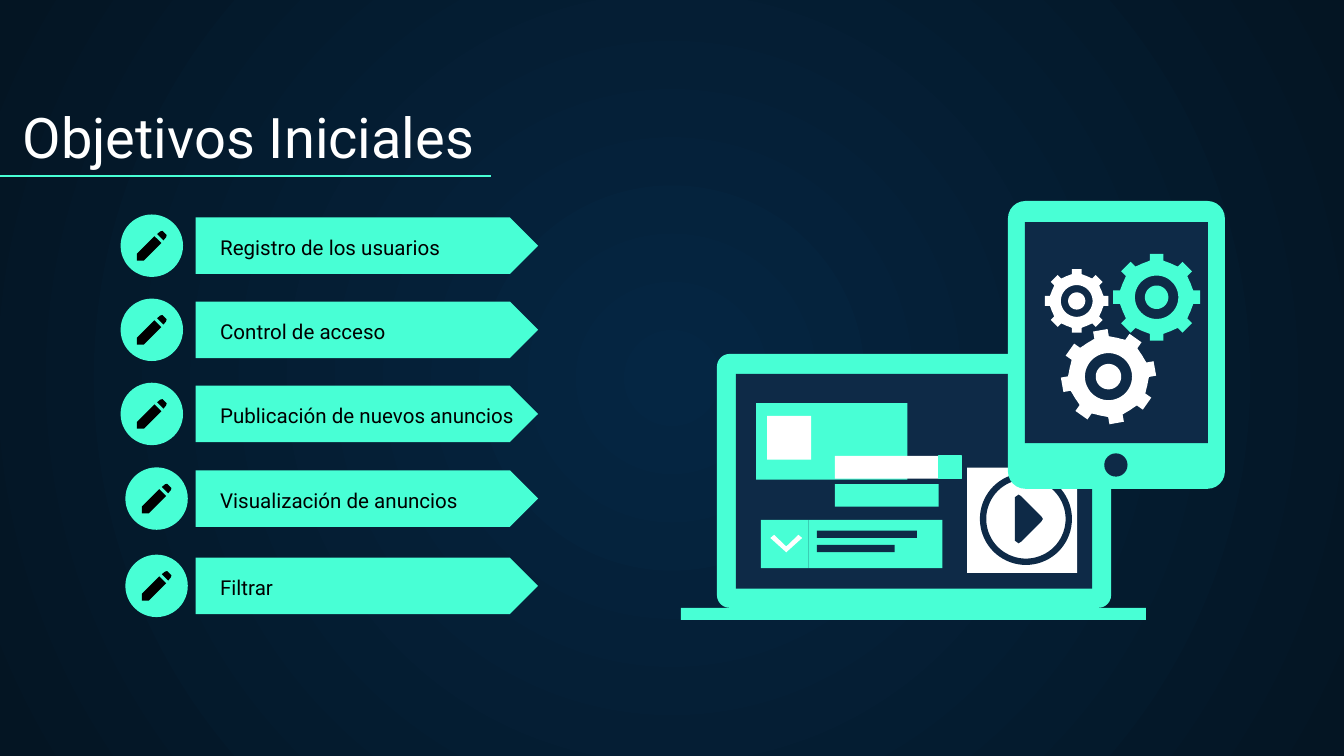
"""Build the initial objectives slide: a list of labelled arrows beside a device illustration."""
from dataclasses import dataclass
from math import cos, pi, radians, sin
from typing import NamedTuple

from lxml.etree import SubElement
from pptx import Presentation
from pptx.dml.color import RGBColor as RGB
from pptx.enum.shapes import MSO_CONNECTOR as CONN, MSO_SHAPE as SHP
from pptx.enum.text import MSO_ANCHOR as ANC, MSO_AUTO_SIZE as FIT, PP_ALIGN as ALIGN
from pptx.oxml.ns import qn
from pptx.util import Cm, Pt

Points = list[tuple[float, float]]


@dataclass(frozen=True)
class Theme:
    mint: RGB = RGB(0x48, 0xFF, 0xD5)
    navy: RGB = RGB(0x0E, 0x2A, 0x47)
    white: RGB = RGB(0xFF, 0xFF, 0xFF)
    black: RGB = RGB(0, 0, 0)
    glow: RGB = RGB(0x05, 0x26, 0x43)
    edge: RGB = RGB(0x04, 0x15, 0x23)
    font: str = "Roboto"
    title: float = 30
    item: float = 11
    line: float = 0.75


T = Theme()


class Box(NamedTuple):
    x: float
    y: float
    w: float
    h: float
    color: RGB
    kind: SHP = SHP.RECTANGLE
    adj: float | None = None
    edged: bool = False


class Gear(NamedTuple):
    x: float
    y: float
    radius: float
    color: RGB
    turn: float = 0


class Item(NamedTuple):
    text: str
    y: float
    badge_x: float


ARROW_X, ARROW_W, ARROW_H, BADGE = 3.7, 6.47, 1.07, 1.18
ITEMS = [
    Item("Registro de los usuarios", 4.11, 2.28),
    Item("Control de acceso", 5.7, 2.28),
    Item("Publicación de nuevos anuncios", 7.29, 2.28),
    Item("Visualización de anuncios", 8.89, 2.37),
    Item("Filtrar", 10.54, 2.37),
]
PENCIL_TIP = [(0.16, -0.27), (0.1, -0.22), (0.22, -0.1), (0.27, -0.16), (0.28, -0.2), (0.2, -0.28)]
PENCIL_BODY = [(0.05, -0.18), (-0.28, 0.15), (-0.28, 0.28), (-0.15, 0.28), (0.18, -0.05)]
LAPTOP = [
    Box(13.55, 6.69, 7.45, 4.8, T.mint, SHP.ROUNDED_RECTANGLE, 0.05),
    Box(13.91, 7.07, 6.73, 4.06, T.navy),
    Box(12.87, 11.49, 8.79, 0.23, T.mint),
    Box(14.29, 7.62, 2.86, 1.45, T.mint),
    Box(14.5, 7.86, 0.83, 0.83, T.white),
    Box(15.28, 9.83, 2.53, 0.91, T.mint),
    Box(15.44, 10.03, 1.89, 0.14, T.navy),
    Box(15.44, 10.3, 1.47, 0.14, T.navy),
    Box(14.38, 9.83, 0.9, 0.91, T.mint),
    Box(15.78, 9.15, 1.96, 0.43, T.mint),
    Box(15.78, 8.62, 1.96, 0.43, T.white),
    Box(17.74, 8.62, 0.43, 0.43, T.mint, edged=True),
    Box(18.28, 8.84, 2.08, 1.99, T.white),
]
TABLET = [
    Box(19.05, 3.8, 4.1, 5.44, T.mint, SHP.ROUNDED_RECTANGLE, 0.08),
    Box(19.37, 4.2, 3.46, 4.18, T.navy),
    Box(20.87, 8.57, 0.44, 0.44, T.navy, SHP.OVAL),
]
CHEVRON = [(14.56, 10.17), (14.63, 10.11), (14.86, 10.33), (15.09, 10.11), (15.16, 10.17), (14.86, 10.44)]
PLAY = [(19.18, 9.4), (19.25, 9.35), (19.3, 9.38), (19.68, 9.76), (19.71, 9.81),
        (19.68, 9.86), (19.3, 10.24), (19.25, 10.27), (19.18, 10.22)]
PLAY_CENTER = (19.39, 9.81)
GEARS = [
    Gear(21.86, 5.62, 0.82, T.mint),
    Gear(20.35, 5.69, 0.6, T.white),
    Gear(20.95, 7.12, 0.89, T.white, -10),
]


def apply(obj, **fmt) -> None:
    """Set each named format value on the object."""
    for key, value in fmt.items():
        setattr(obj, key, value)


def paint(sp, color: RGB, edged: bool = False) -> None:
    """Give a shape a flat fill, with an edge of the same colour if asked."""
    sp.shadow.inherit = False
    sp.fill.solid()
    sp.fill.fore_color.rgb = color
    if edged:
        sp.line.color.rgb = color
        sp.line.width = Pt(T.line)
    else:
        sp.line.fill.background()


def draw_box(s, b: Box) -> None:
    """Draw one preset shape."""
    sp = s.shapes.add_shape(b.kind, Cm(b.x), Cm(b.y), Cm(b.w), Cm(b.h))
    if b.adj is not None:
        sp.adjustments[0] = b.adj
    paint(sp, b.color, b.edged)


def draw_outline(s, color: RGB, *contours: Points) -> None:
    """Draw closed contours as one freeform, inner ones being holes."""
    scaled = [[(Cm(x), Cm(y)) for x, y in c] for c in contours]
    builder = s.shapes.build_freeform(*scaled[0][0])
    for i, (start, *rest) in enumerate(scaled):
        if i:
            builder.move_to(*start)
        builder.add_line_segments(rest, close=True)
    paint(builder.convert_to_shape(), color)


def circle(x: float, y: float, radius: float, steps: int = 72) -> Points:
    """Return points around a circle."""
    angles = [2 * pi * i / steps for i in range(steps)]
    return [(x + radius * cos(a), y + radius * sin(a)) for a in angles]


def draw_gear(s, g: Gear, teeth: int = 8) -> None:
    """Draw a toothed wheel with a ring cut out around its hub."""
    body, half = 0.845 * g.radius, 0.156 * g.radius
    rim: Points = []
    for i in range(teeth):
        a = radians(g.turn) + 2 * pi * i / teeth
        tooth = [(body, -half), (g.radius, -half), (g.radius, half), (body, half)]
        tooth += [(body * cos(pi * f / teeth), body * sin(pi * f / teeth)) for f in (0.75, 1, 1.25)]
        rim += [(g.x + u * cos(a) - v * sin(a), g.y + u * sin(a) + v * cos(a)) for u, v in tooth]
    draw_outline(s, g.color, rim, circle(g.x, g.y, 0.5 * g.radius), circle(g.x, g.y, 0.27 * g.radius))


def draw_item(s, item: Item) -> None:
    """Draw the arrow and the pencil badge of one objective."""
    cx, cy = item.badge_x + BADGE / 2, item.y + ARROW_H / 2
    draw_box(s, Box(ARROW_X, item.y, ARROW_W, ARROW_H, T.mint, SHP.PENTAGON, 0.5))
    draw_box(s, Box(item.badge_x, cy - BADGE / 2, BADGE, BADGE, T.mint, SHP.OVAL))
    draw_outline(s, T.black, *([(cx + x, cy + y) for x, y in part] for part in (PENCIL_TIP, PENCIL_BODY)))


def place(sp, x: float, y: float, w: float, h: float, inset: float, anchor: ANC) -> None:
    """Move a placeholder and set its frame."""
    apply(sp, left=Cm(x), top=Cm(y), width=Cm(w), height=Cm(h))
    margins = {f"margin_{side}": Cm(inset) for side in ("left", "right", "top", "bottom")}
    apply(sp.text_frame, word_wrap=True, auto_size=FIT.NONE, vertical_anchor=anchor, **margins)


def write(p, text: str, size: float, color: RGB) -> None:
    """Write one left-aligned paragraph."""
    p.alignment = ALIGN.LEFT
    r = p.add_run()
    r.text = text
    apply(r.font, name=T.font, size=Pt(size), bold=False)
    r.font.color.rgb = color


def write_list(body) -> None:
    """Write the objectives, spaced to match their arrows."""
    leading = 13
    place(body, 4.16, ITEMS[0].y + 0.34, 6, 7, 0, ANC.TOP)
    tf = body.text_frame
    for i, item in enumerate(ITEMS):
        p = tf.add_paragraph() if i else tf.paragraphs[0]
        gap = Cm(item.y - ITEMS[i - 1].y).pt - leading if i else 0
        pPr = p._p.get_or_add_pPr()
        apply(p, line_spacing=Pt(leading), space_before=Pt(gap), space_after=Pt(0))
        pPr.set("marL", "0")
        pPr.set("indent", "0")
        SubElement(pPr, qn("a:buNone"))
        write(p, item.text, T.item, T.black)


def set_background(s) -> None:
    """Fill the background with a glow from the centre."""
    fill = s.background.fill
    fill.gradient()
    for stop, color in zip(fill.gradient_stops, (T.glow, T.edge)):
        stop.color.rgb = color
    grad = s.element.find(".//" + qn("a:gradFill"))
    grad.remove(grad.find(qn("a:lin")))
    glow = SubElement(grad, qn("a:path"), {"path": "circle"})
    SubElement(glow, qn("a:fillToRect"), dict.fromkeys("ltrb", "50000"))


def main() -> None:
    """Build and save the slide."""
    prs = Presentation()
    apply(prs, slide_width=Cm(25.4), slide_height=Cm(14.29))
    s = prs.slides.add_slide(prs.slide_layouts[1])
    set_background(s)
    title, body = s.shapes.title, s.placeholders[1]
    place(title, 0.18, 1.78, 21.77, 1.68, 0.25, ANC.BOTTOM)
    write(title.text_frame.paragraphs[0], "Objetivos Iniciales", T.title, T.white)
    rule = s.shapes.add_connector(CONN.STRAIGHT, Cm(0), Cm(3.33), Cm(9.28), Cm(3.33))
    rule.line.color.rgb = T.mint
    rule.line.width = Pt(T.line)
    SubElement(rule.element.spPr, qn("a:effectLst"))
    for item in ITEMS:
        draw_item(s, item)
    for box in LAPTOP:
        draw_box(s, box)
    draw_outline(s, T.white, CHEVRON)
    draw_outline(s, T.navy, circle(*PLAY_CENTER, 0.87), circle(*PLAY_CENTER, 0.75))
    draw_outline(s, T.navy, PLAY)
    for box in TABLET:
        draw_box(s, box)
    for gear in GEARS:
        draw_gear(s, gear)
    write_list(body)
    s.shapes.element.append(body.element)
    prs.save("out.pptx")


if __name__ == "__main__":
    main()
